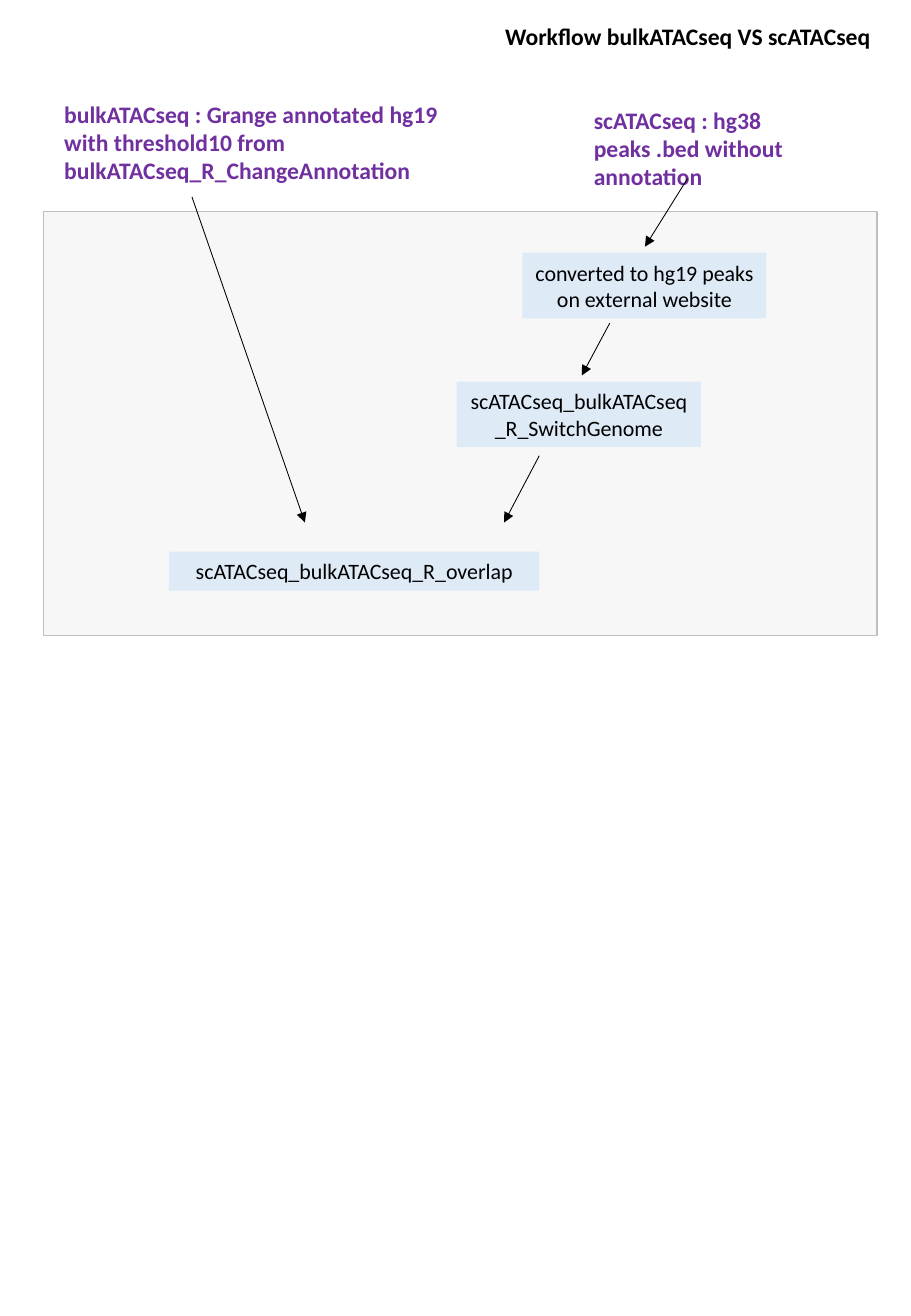
from lxml import etree
from pptx import Presentation, util as u
from pptx.dml.color import RGBColor
from pptx.enum import shapes, text
from pptx.oxml.ns import qn

THEME = {
    "font": "Calibri", "heading_size": 14, "step_size": 13,
    "ink": "000000", "input": "7030A0", "step": "DEEBF7",
    "panel": "F7F7F7", "panel_line": "BFBFBF",
    "panel_width": 1, "arrow_width": 0.5,
}
SLIDE_SIZE = (7.5, 10.83)
PANEL = (0.36, 1.74, 6.86, 3.49)
HEADINGS = [
    ("Workflow bulkATACseq VS scATACseq", (4.06, 0.13, 3.25, 0.34), "ink"),
    ("bulkATACseq : Grange annotated hg19 with threshold10 from "
     "bulkATACseq_R_ChangeAnnotation", (0.43, 0.77, 3.35, 0.81), "input"),
    ("scATACseq : hg38\vpeaks .bed without annotation",
     (4.79, 0.82, 2.43, 0.57), "input"),
]
STEP_WIDTH, STEP_HEIGHT = 2.01, 0.54
STEPS = [
    ("converted to hg19 peaks on external website",
     (4.3, 2.08, STEP_WIDTH, STEP_HEIGHT)),
    ("scATACseq_bulkATACseq_R_SwitchGenome",
     (3.76, 3.14, STEP_WIDTH, STEP_HEIGHT)),
    ("scATACseq_bulkATACseq_R_overlap", (1.39, 4.54, 3.05, 0.32)),
]
ARROWS = [
    ((1.58, 1.62), (2.51, 4.3)),
    ((5.66, 1.47), (5.31, 2.03)),
    ((5.02, 2.66), (4.79, 3.09)),
    ((4.44, 3.75), (4.15, 4.3)),
]


def color(name):
    return RGBColor.from_string(THEME[name])


def inches(values):
    return [u.Inches(value) for value in values]


def write(shape, words, *, size, ink="ink", bold=False,
          align=text.PP_ALIGN.LEFT, anchor=text.MSO_ANCHOR.TOP):
    frame = shape.text_frame
    frame.word_wrap = True
    frame.vertical_anchor = anchor
    frame.text = words
    paragraph = frame.paragraphs[0]
    paragraph.alignment = align
    for run in paragraph.runs:
        run.font.name = THEME["font"]
        run.font.size = u.Pt(THEME[size])
        run.font.bold = bold
        run.font.color.rgb = color(ink)


def add_box(slide, place, fill, line=None):
    box = slide.shapes.add_shape(shapes.MSO_SHAPE.RECTANGLE, *inches(place))
    box.shadow.inherit = False
    box.fill.solid()
    box.fill.fore_color.rgb = color(fill)
    if line:
        box.line.color.rgb = color(line)
        box.line.width = u.Pt(THEME["panel_width"])
    else:
        box.line.fill.background()
    return box


def add_arrow(slide, start, end):
    arrow = slide.shapes.add_connector(
        shapes.MSO_CONNECTOR.STRAIGHT, *inches(start + end))
    arrow.line.color.rgb = color("ink")
    arrow.line.width = u.Pt(THEME["arrow_width"])
    properties = arrow.line._get_or_add_ln()
    etree.SubElement(properties, qn("a:tailEnd"), type="triangle")
    etree.SubElement(arrow._element.spPr, qn("a:effectLst"))


presentation = Presentation()
presentation.slide_width, presentation.slide_height = inches(SLIDE_SIZE)
slide = presentation.slides.add_slide(presentation.slide_layouts[6])

add_box(slide, PANEL, "panel", "panel_line")
for words, place, ink in HEADINGS:
    heading = slide.shapes.add_textbox(*inches(place))
    write(heading, words, size="heading_size", ink=ink, bold=True)
for words, place in STEPS:
    write(add_box(slide, place, "step"), words, size="step_size",
          align=text.PP_ALIGN.CENTER, anchor=text.MSO_ANCHOR.MIDDLE)
for start, end in ARROWS:
    add_arrow(slide, start, end)

presentation.save("out.pptx")
